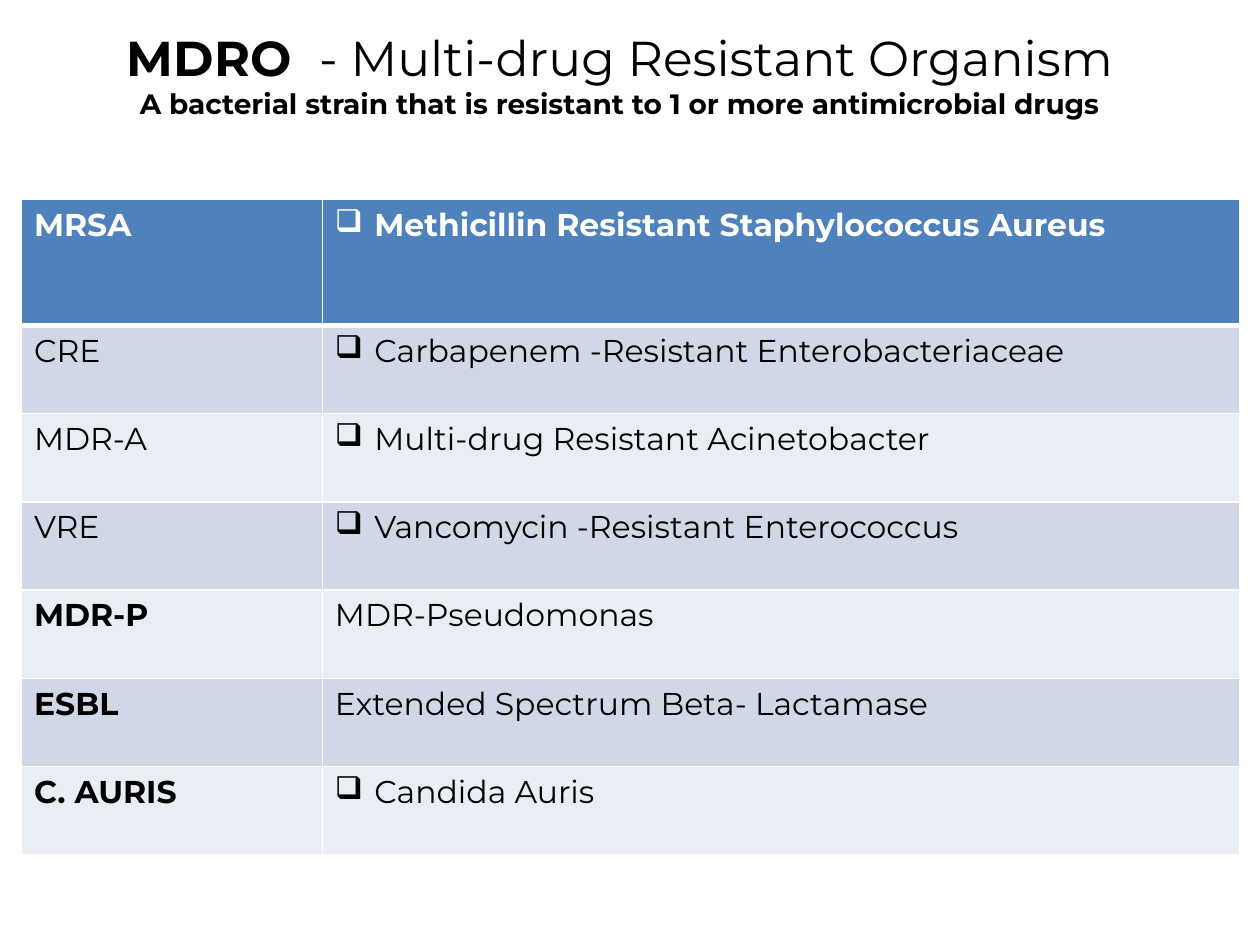
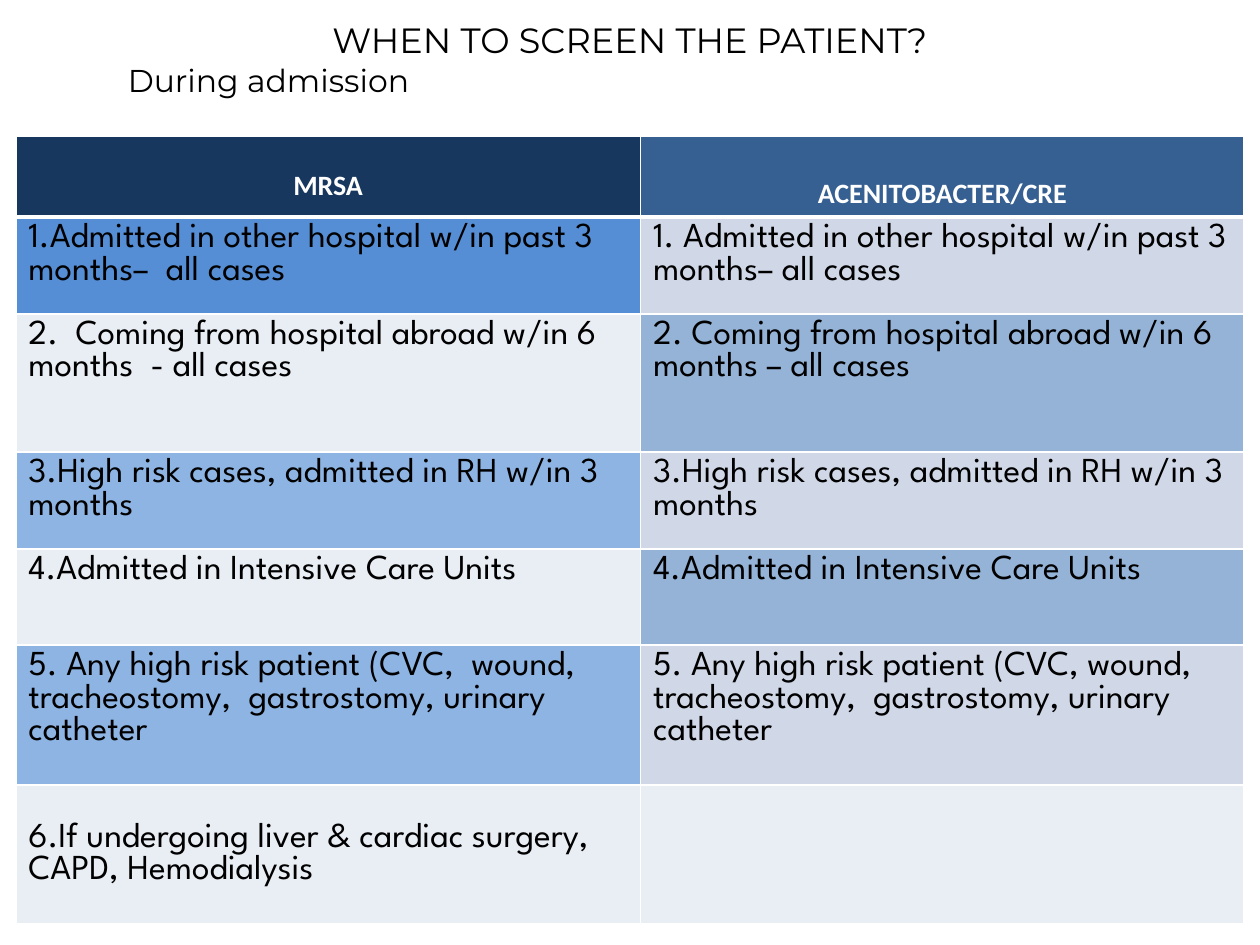
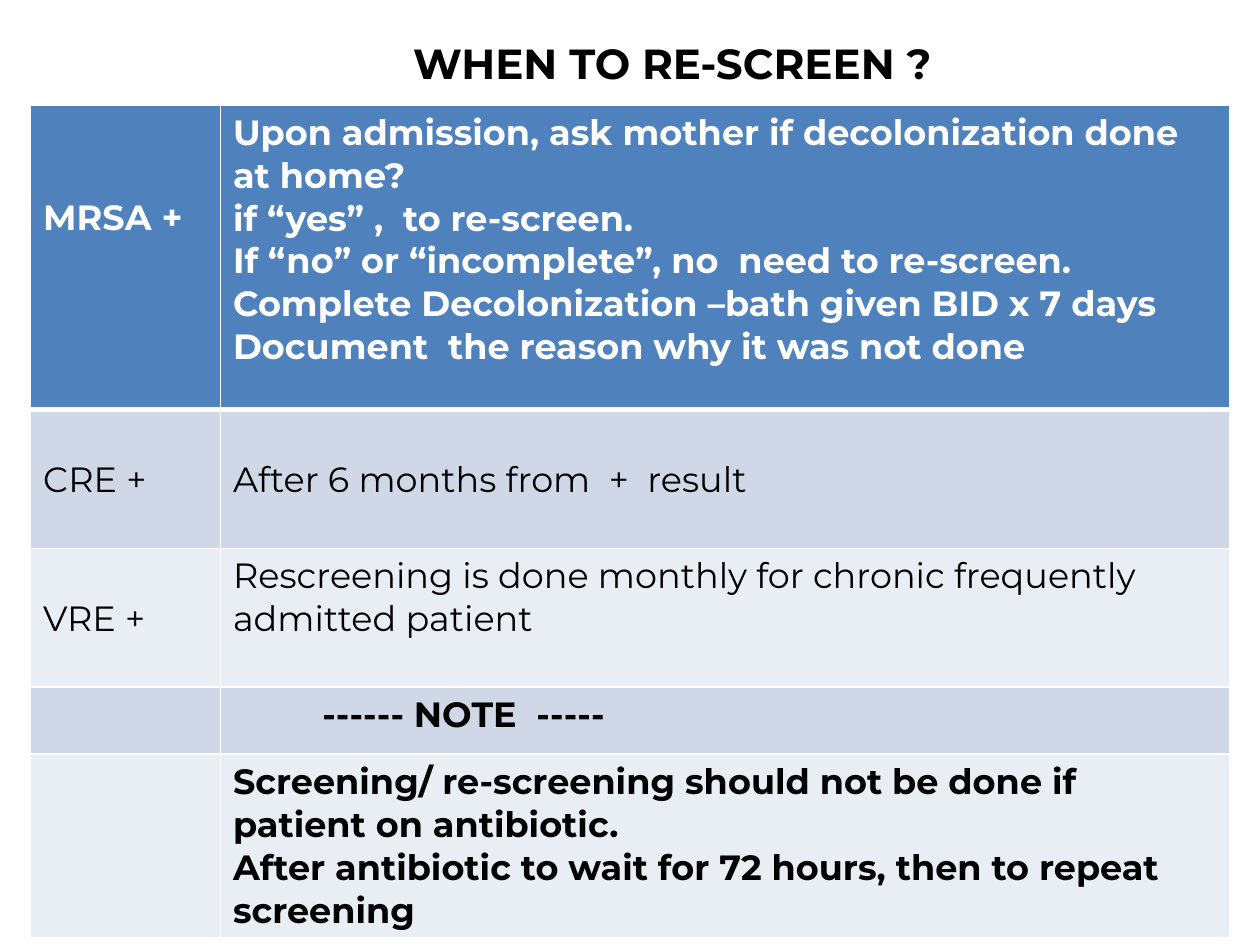
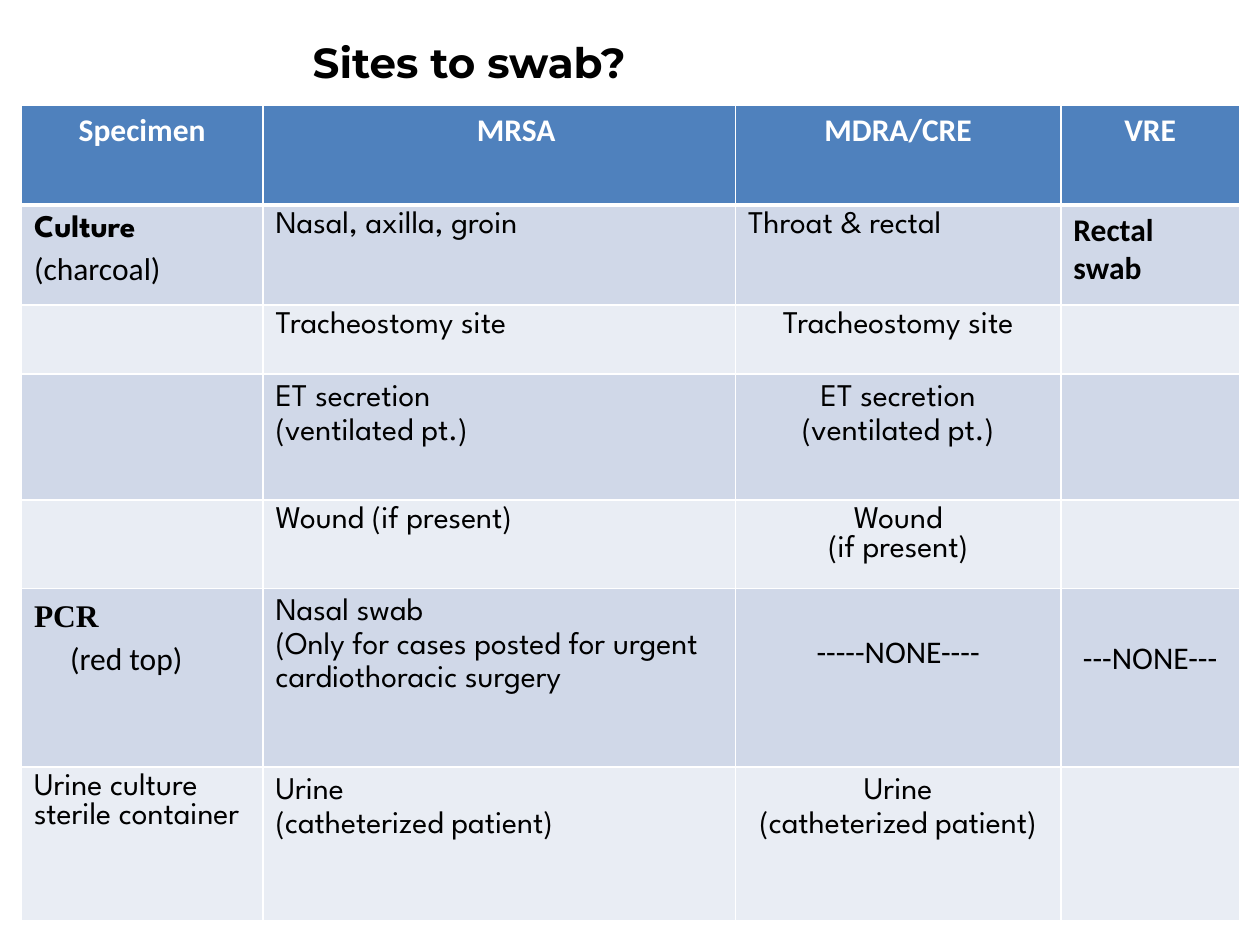
from dataclasses import dataclass
from typing import Optional, Sequence

import pptx
import pptx.dml.color
import pptx.enum.text
import pptx.oxml
import pptx.oxml.ns
import pptx.util

Pt = pptx.util.Pt
LEFT = pptx.enum.text.PP_ALIGN.LEFT
CENTER = pptx.enum.text.PP_ALIGN.CENTER


# Theme shared by all slides
@dataclass(frozen=True)
class Theme:
    ink: str = "000000"
    paper: str = "FFFFFF"
    header: str = "4F81BD"
    bands: tuple[str, str] = ("E9EDF4", "D0D8E8")
    navy: str = "17375E"
    steel: str = "376092"
    bright: str = "558ED5"
    sky: str = "8EB4E3"
    mist: str = "95B3D7"
    main: str = "Montserrat"
    rounded: str = "League Spartan"
    plain: str = "Calibri"
    serif: str = "Times New Roman"
    hero: float = 28
    title: float = 24
    large: float = 20
    medium: float = 18
    small: float = 16
    thin_rule: float = 1
    header_rule: float = 3
    cell_pad: float = 3.6
    bullet_indent: float = 22.5
    loose: float = 1.15


THEME = Theme()


# Content descriptions
@dataclass(frozen=True)
class Line:
    """One paragraph; tail is a second run in the same paragraph."""
    text: str
    font: str = ""
    size: float = 0
    bold: Optional[bool] = None
    align: int = LEFT
    indent: float = 0
    spacing: float = 1
    bullet: str = ""
    tail: Optional["Line"] = None


@dataclass(frozen=True)
class Cell:
    """A table cell; drop is extra room above its text."""
    lines: tuple[Line, ...] = ()
    fill: str = ""
    drop: float = 0


@dataclass(frozen=True)
class Grid:
    left: float
    top: float
    columns: Sequence[float]
    heights: Sequence[float]
    rows: Sequence[Sequence[Cell]]
    header_font: str
    header_size: float
    body_font: str
    body_size: float


@dataclass(frozen=True)
class Heading:
    left: float
    top: float
    width: float
    height: float
    lines: tuple[Line, ...]


def cell(*texts: str, fill: str = "", drop: float = 0, **style) -> Cell:
    return Cell(tuple(Line(text, **style) for text in texts), fill, drop)


# Drawing functions
def rgb(value: str) -> pptx.dml.color.RGBColor:
    return pptx.dml.color.RGBColor.from_string(value)


def write(paragraph, text: str, *, font: str, size: float, bold: bool, color: str) -> None:
    run = paragraph.add_run()
    run.text = text
    run.font.name = font
    run.font.size = Pt(size)
    run.font.bold = bold
    run.font.color.rgb = rgb(color)


def write_lines(frame, lines: Sequence[Line], *, font: str, size: float,
                bold: bool, color: str) -> None:
    for index, line in enumerate(lines):
        paragraph = frame.paragraphs[0] if index == 0 else frame.add_paragraph()
        paragraph.alignment = line.align
        if line.spacing != 1:
            paragraph.line_spacing = line.spacing
        properties = paragraph._p.get_or_add_pPr()
        if line.bullet:
            properties.set("marL", str(Pt(THEME.bullet_indent)))
            properties.set("indent", str(-Pt(THEME.bullet_indent)))
            mark = pptx.oxml.parse_xml(f'<a:buChar {pptx.oxml.ns.nsdecls("a")} char="{line.bullet}"/>')
            properties.append(mark)
        elif line.indent:
            properties.set("marL", str(Pt(line.indent)))
            properties.set("indent", "0")
        part: Optional[Line] = line
        while part:
            write(paragraph, part.text, font=part.font or font, size=part.size or size,
                  bold=bold if part.bold is None else part.bold, color=color)
            part = part.tail


def add_heading(slide, heading: Heading) -> None:
    box = slide.shapes.add_textbox(Pt(heading.left), Pt(heading.top),
                                   Pt(heading.width), Pt(heading.height))
    box.text_frame.word_wrap = True
    write_lines(box.text_frame, heading.lines, font=THEME.main, size=THEME.title,
                bold=True, color=THEME.ink)


def add_borders(table_cell, bottom: float) -> None:
    properties = table_cell._tc.get_or_add_tcPr()
    widths = {"lnL": THEME.thin_rule, "lnR": THEME.thin_rule,
              "lnT": THEME.thin_rule, "lnB": bottom}
    for position, (side, width) in enumerate(widths.items()):
        properties.insert(position, pptx.oxml.parse_xml(
            f'<a:{side} {pptx.oxml.ns.nsdecls("a")} w="{Pt(width)}"><a:solidFill>'
            f'<a:srgbClr val="{THEME.paper}"/></a:solidFill></a:{side}>'))


def add_grid(slide, grid: Grid) -> None:
    table = slide.shapes.add_table(
        len(grid.rows), len(grid.columns), Pt(grid.left), Pt(grid.top),
        Pt(sum(grid.columns)), Pt(sum(grid.heights))).table
    table.horz_banding = False
    for column, width in zip(table.columns, grid.columns):
        column.width = Pt(width)
    for row_index, (row, height) in enumerate(zip(grid.rows, grid.heights)):
        table.rows[row_index].height = Pt(height)
        is_header = row_index == 0
        band = THEME.header if is_header else THEME.bands[row_index % 2]
        for column_index, content in enumerate(row):
            target = table.cell(row_index, column_index)
            target.fill.solid()
            target.fill.fore_color.rgb = rgb(content.fill or band)
            # The rule under the header is drawn from both neighbouring rows
            add_borders(target, THEME.header_rule if is_header else THEME.thin_rule)
            if row_index == 1:
                top_rule = target._tc.tcPr.find(pptx.oxml.ns.qn("a:lnT"))
                top_rule.set("w", str(Pt(THEME.header_rule)))
            target.margin_top = Pt(THEME.cell_pad + content.drop)
            write_lines(target.text_frame, content.lines,
                        font=grid.header_font if is_header else grid.body_font,
                        size=grid.header_size if is_header else grid.body_size,
                        bold=is_header, color=THEME.paper if is_header else THEME.ink)


# Slide 1: resistant organisms
BOX = "❑"
ORGANISMS_HEADING = Heading(12.24, 12.24, 684, 234.7, (
    Line("MDRO  ", size=THEME.hero, align=CENTER,
         tail=Line("- Multi-drug Resistant Organism", size=THEME.hero, bold=False)),
    Line("A bacterial strain that is resistant to 1 or more antimicrobial drugs",
         size=THEME.small, align=CENTER),
))
ORGANISMS = Grid(
    12.24, 114, (172, 524), (72, *[50.4] * 6),
    (
        (cell("MRSA"), cell("Methicillin Resistant Staphylococcus Aureus", bullet=BOX)),
        (cell("CRE"), cell("Carbapenem -Resistant Enterobacteriaceae", bullet=BOX)),
        (cell("MDR-A"), cell("Multi-drug Resistant Acinetobacter", bullet=BOX)),
        (cell("VRE"), cell("Vancomycin -Resistant Enterococcus", bullet=BOX)),
        (cell("MDR-P", bold=True), cell("MDR-Pseudomonas")),
        (cell("ESBL", bold=True), cell("Extended Spectrum Beta- Lactamase")),
        (cell("C. AURIS", bold=True), cell("Candida Auris", bullet=BOX)),
    ),
    THEME.main, THEME.medium, THEME.main, THEME.medium)

# Slide 2: screening on admission
SCREENING_HEADING = Heading(0, 7.2, 720, 53.3, (
    Line("WHEN TO SCREEN THE PATIENT?", size=THEME.large, bold=False, align=CENTER),
    Line("During admission", size=THEME.medium, bold=False, indent=66),
))
SCREENING = Grid(
    9, 78, (357, 345), (45.5, 55.4, 79, 55.4, 55, 80, 79),
    (
        (cell("MRSA", fill=THEME.navy, drop=14.7, align=CENTER),
         cell("ACENITOBACTER/CRE", fill=THEME.steel, drop=19.5, align=CENTER)),
        (cell("1.Admitted in other hospital w/in past 3 months–  all cases", fill=THEME.bright),
         cell("1. Admitted in other hospital w/in past 3 months– all cases")),
        (cell("2.  Coming from hospital abroad w/in 6 months  - all cases"),
         cell("2. Coming from hospital abroad w/in 6 months – all cases", fill=THEME.mist)),
        (cell("3.High risk cases, admitted in RH w/in 3 months", fill=THEME.sky),
         cell("3.High risk cases, admitted in RH w/in 3 months")),
        (cell("4.Admitted in Intensive Care Units"),
         cell("4.Admitted in Intensive Care Units", fill=THEME.mist)),
        (cell("5. Any high risk patient (CVC,  wound, tracheostomy,  gastrostomy, urinary catheter",
              fill=THEME.sky),
         cell("5. Any high risk patient (CVC, wound, tracheostomy,  gastrostomy, urinary catheter")),
        (cell("6.If undergoing liver & cardiac surgery, CAPD, Hemodialysis", drop=18), cell()),
    ),
    THEME.plain, THEME.small, THEME.rounded, THEME.large)

# Slide 3: re-screening
TEXT_LINE = 24.4  # height of one table line on this slide
RESCREEN_HEADING = Heading(174, 18, 414, 443.5, (Line("WHEN TO RE-SCREEN ?", indent=55),))
RESCREEN = Grid(
    17.5, 60, (108.5, 577), (174, 79.5, 79, 38.5, 104.8),
    (
        (cell("MRSA +", drop=2 * TEXT_LINE),
         cell("Upon admission, ask mother if decolonization done at home?",
              "if “yes” ,  to re-screen.",
              "If “no” or “incomplete”, no  need to re-screen.",
              "Complete Decolonization –bath given BID x 7 days",
              "Document  the reason why it was not done")),
        (cell("CRE +", drop=TEXT_LINE), cell("After 6 months from  +  result", drop=TEXT_LINE)),
        (cell("VRE +", drop=TEXT_LINE),
         cell("Rescreening is done monthly for chronic frequently admitted patient")),
        (cell(), cell("------ NOTE  -----", bold=True, indent=51)),
        (cell(), cell("Screening/ re-screening should not be done if patient on antibiotic.",
                      "After antibiotic to wait for 72 hours, then to repeat screening", bold=True)),
    ),
    THEME.main, THEME.large, THEME.main, THEME.large)

# Slide 4: swab sites
SWAB_HEADING = Heading(36, 17.3, 618.5, 36, (Line("Sites to swab?", indent=135.6),))
CULTURE = Cell((Line("Culture ", bold=True, spacing=THEME.loose,
                     tail=Line("(charcoal)", font=THEME.plain)),))
PCR = Cell((Line("PCR", font=THEME.serif, bold=True, spacing=THEME.loose),
            Line("(red top)", font=THEME.plain, spacing=THEME.loose, indent=20.6)))
SWABS = Grid(
    12.24, 60, (138, 270, 186, 102), (57.2, 57.2, 39.4, 72, 50.4, 102.2, 88),
    (
        (cell("Specimen", align=CENTER), cell("MRSA", align=CENTER, indent=19.5),
         cell("MDRA/CRE", align=CENTER), cell("VRE", align=CENTER)),
        (CULTURE, cell("Nasal, axilla, groin"), cell("Throat & rectal"),
         cell("Rectal swab", font=THEME.plain, bold=True)),
        (cell(), cell("Tracheostomy site"), cell("Tracheostomy site", align=CENTER), cell()),
        (cell(), cell("ET secretion", "(ventilated pt.)", spacing=THEME.loose),
         cell("ET secretion", "(ventilated pt.)", align=CENTER, spacing=THEME.loose), cell()),
        (cell(), cell("Wound (if present)"), cell("Wound", "(if present)", align=CENTER), cell()),
        (PCR,
         cell("Nasal swab", "(Only for cases posted for urgent cardiothoracic surgery",
              spacing=THEME.loose),
         cell("-----NONE----", font=THEME.plain, align=CENTER, drop=22.5),
         cell("---NONE---", font=THEME.plain, align=CENTER, spacing=THEME.loose, drop=22.5)),
        (cell("Urine culture sterile container"),
         cell("Urine", "(catheterized patient)", spacing=THEME.loose),
         cell("Urine", "(catheterized patient)", align=CENTER, spacing=THEME.loose), cell()),
    ),
    THEME.plain, THEME.medium, THEME.rounded, THEME.medium)


def main() -> None:
    deck = pptx.Presentation()
    deck.slide_width, deck.slide_height = Pt(720), Pt(540)
    blank = deck.slide_layouts[6]
    for heading, grid in ((ORGANISMS_HEADING, ORGANISMS), (SCREENING_HEADING, SCREENING),
                          (RESCREEN_HEADING, RESCREEN), (SWAB_HEADING, SWABS)):
        slide = deck.slides.add_slide(blank)
        add_heading(slide, heading)
        add_grid(slide, grid)
    deck.save("out.pptx")


if __name__ == "__main__":
    main()
